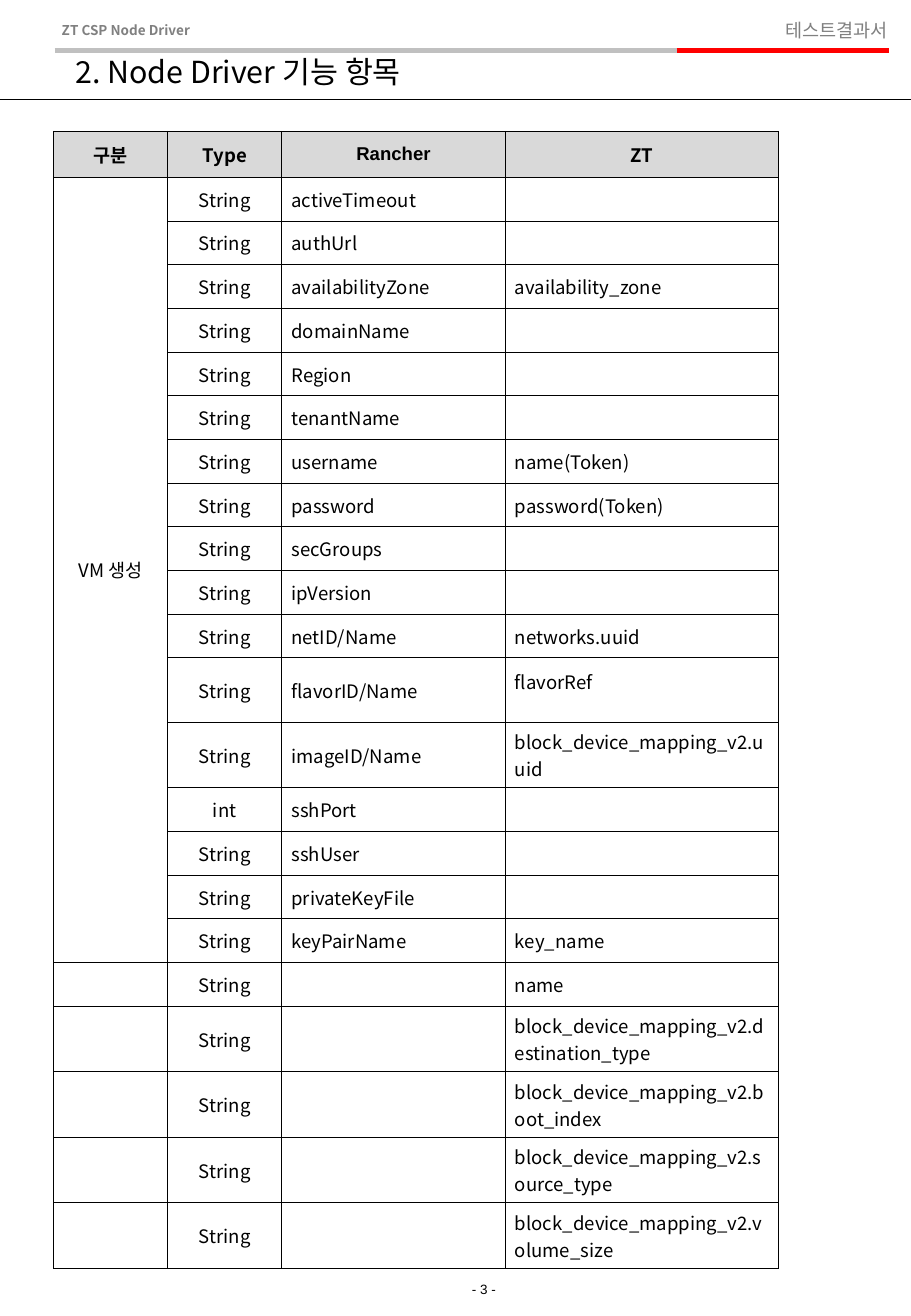
"""Build the slide that lists the node driver features in a table."""
from dataclasses import dataclass

from lxml.etree import SubElement
from pptx import Presentation
from pptx.dml.color import RGBColor
from pptx.enum.shapes import MSO_CONNECTOR
from pptx.enum.text import MSO_ANCHOR, PP_ALIGN
from pptx.oxml.ns import qn
from pptx.util import Inches, Pt


@dataclass(frozen=True)
class Theme:
    sans: str = "Noto Sans CJK KR"
    arial: str = "Arial"
    black: str = "000000"
    grey: str = "808080"
    silver: str = "C0C0C0"
    red: str = "FF0000"
    head: str = "D9D9D9"
    title: float = 18
    body: float = 11
    small: float = 8


T = Theme()


def write(tf, text, size=T.body, font=T.sans, color=T.black, bold=False,
          align=PP_ALIGN.LEFT, top=0.05):
    tf.word_wrap = True
    tf.margin_top = Inches(top)
    p = tf.paragraphs[0]
    p.alignment = align
    if not text:
        SubElement(p._p, qn("a:endParaRPr"), sz=str(size * 100))
        return
    r = p.add_run()
    r.text = text
    r.font.size = Pt(size)
    r.font.name = font
    r.font.bold = bold
    r.font.color.rgb = RGBColor.from_string(color)
    SubElement(r._r.get_or_add_rPr(), qn("a:ea"), typeface=T.sans)


def add_border(cell, color=T.black, width=0.45):
    tcPr = cell._tc.get_or_add_tcPr()
    for i, side in enumerate(("a:lnL", "a:lnR", "a:lnT", "a:lnB")):
        ln = tcPr.makeelement(qn(side), {"w": str(Pt(width))})
        fill = SubElement(ln, qn("a:solidFill"))
        SubElement(fill, qn("a:srgbClr"), val=color)
        tcPr.insert(i, ln)


prs = Presentation()
prs.slide_width = Inches(7.5)
prs.slide_height = Inches(10.84)
s = prs.slides.add_slide(prs.slide_layouts[5])

rules = [
    (0, 7.5, 0.82, T.black, 0.75),
    (0.45, 5.57, 0.42, T.silver, 3),
    (5.57, 7.32, 0.42, T.red, 3),
]
for x1, x2, y, color, width in rules:
    sp = s.shapes.add_connector(MSO_CONNECTOR.STRAIGHT, Inches(x1), Inches(y),
                                Inches(x2), Inches(y))
    sp.line.color.rgb = RGBColor.from_string(color)
    sp.line.width = Pt(width)
    SubElement(sp._element.spPr, qn("a:effectLst"))

labels = [
    ("ZT CSP Node Driver", (0.41, 0.15, 4.68, 0.24),
     dict(size=T.small, color=T.grey, bold=True, top=0.03)),
    ("테스트결과서", (4.21, 0.14, 3.2, 0.29),
     dict(color=T.grey, align=PP_ALIGN.RIGHT, top=0.02)),
    ("- 3 -", (0.47, 10.5, 7.03, 0.24),
     dict(size=T.small, font=T.arial, align=PP_ALIGN.CENTER)),
]
for text, box, style in labels:
    sp = s.shapes.add_textbox(*map(Inches, box))
    write(sp.text_frame, text, **style)

sp = s.shapes.title
sp.left, sp.top, sp.width, sp.height = map(Inches, (0.52, 0.44, 6.76, 0.49))
sp.text_frame.vertical_anchor = MSO_ANCHOR.TOP
write(sp.text_frame, "2. Node Driver 기능 항목", size=T.title, top=0)

BLOCK = "block_device_mapping_v2."
rows = [
    ("구분", "Type", "Rancher", "ZT"),
    ("VM 생성", "String", "activeTimeout", ""),
    ("", "String", "authUrl", ""),
    ("", "String", "availabilityZone", "availability_zone"),
    ("", "String", "domainName", ""),
    ("", "String", "Region", ""),
    ("", "String", "tenantName", ""),
    ("", "String", "username", "name(Token)"),
    ("", "String", "password", "password(Token)"),
    ("", "String", "secGroups", ""),
    ("", "String", "ipVersion", ""),
    ("", "String", "netID/Name", "networks.uuid"),
    ("", "String", "flavorID/Name", "flavorRef"),
    ("", "String", "imageID/Name", BLOCK + "uuid"),
    ("", "int", "sshPort", ""),
    ("", "String", "sshUser", ""),
    ("", "String", "privateKeyFile", ""),
    ("", "String", "keyPairName", "key_name"),
    ("", "String", "", "name"),
    ("", "String", "", BLOCK + "destination_type"),
    ("", "String", "", BLOCK + "boot_index"),
    ("", "String", "", BLOCK + "source_type"),
    ("", "String", "", BLOCK + "volume_size"),
]
widths = (0.94, 0.94, 1.84, 2.25)
table = s.shapes.add_table(len(rows), len(widths), Inches(0.44), Inches(1.08),
                           Inches(sum(widths)), Inches(9.4)).table
table.first_row = table.horz_banding = False
for col, width in zip(table.columns, widths):
    col.width = Inches(width)

for i, row in enumerate(rows):
    height = 0.54 if row[3].startswith(BLOCK) else 0.36
    if i == 0:
        height = 0.38
    elif row[3] == "flavorRef":
        height = 0.53
    table.rows[i].height = Inches(height)
    for j, text in enumerate(row):
        cell = table.cell(i, j)
        header = i == 0
        cell.vertical_anchor = MSO_ANCHOR.MIDDLE
        cell.margin_left = cell.margin_right = Inches(0.08)
        cell.margin_top = Inches(0.05)
        cell.margin_bottom = Inches(0.2 if text == "flavorRef" else 0.05)
        if header:
            cell.fill.solid()
            cell.fill.fore_color.rgb = RGBColor.from_string(T.head)
        else:
            cell.fill.background()
        add_border(cell)
        write(cell.text_frame, text, bold=header,
              font=T.arial if text in ("구분", "Rancher") else T.sans,
              align=PP_ALIGN.CENTER if header or j < 2 else PP_ALIGN.LEFT)

table.cell(1, 0).merge(table.cell(17, 0))

prs.save("out.pptx")
